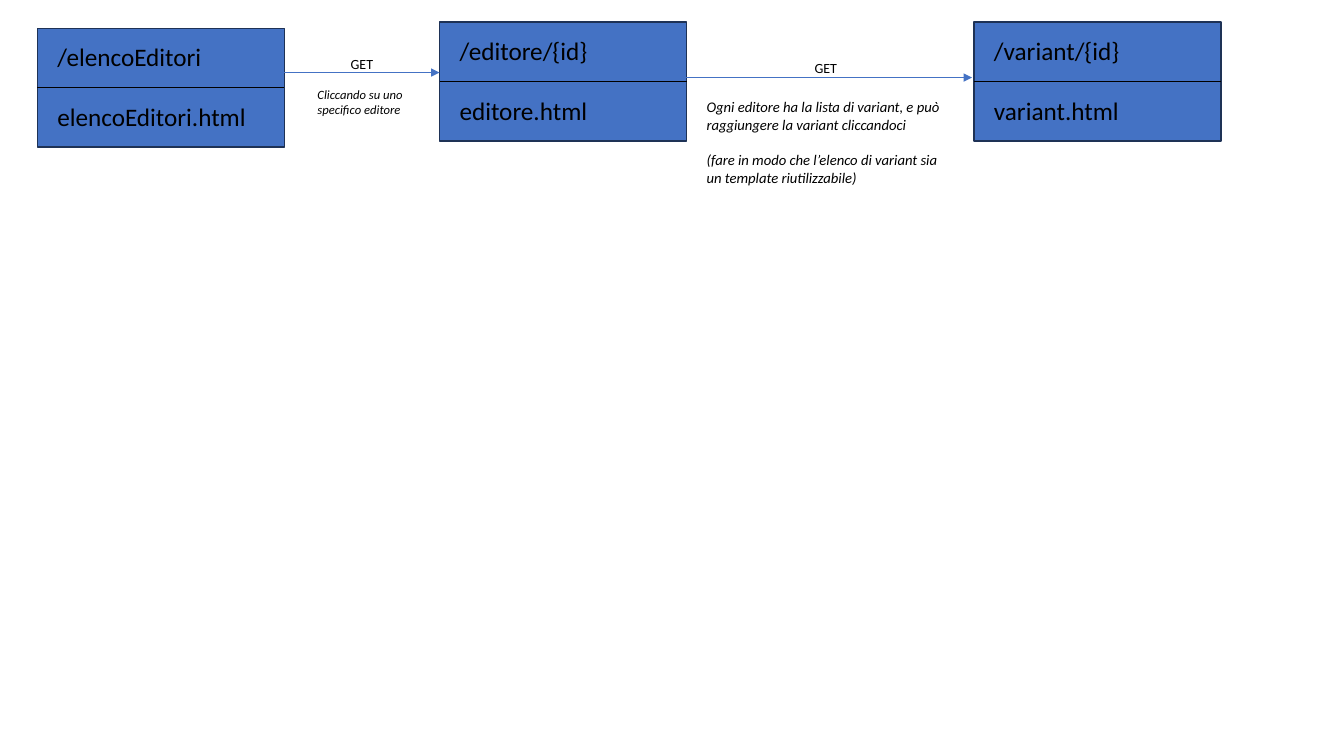
from lxml.etree import SubElement
from pptx import Presentation
from pptx.dml.color import RGBColor
from pptx.enum.shapes import MSO_CONNECTOR, MSO_SHAPE
from pptx.enum.text import MSO_AUTO_SIZE
from pptx.oxml.ns import qn
from pptx.util import Inches, Pt

COLOURS = {"page": "4472C4", "border": "1E3256", "text": "000000"}
PAGE_WIDTH, PAGE_HEIGHT = 2.45, 1.18

prs = Presentation()
prs.slide_width, prs.slide_height = Inches(13.33), Inches(7.5)
slide = prs.slides.add_slide(prs.slide_layouts[6])


def add_text(paragraphs, left, top, width, height, size, italic=False, wrap=True):
    box = slide.shapes.add_textbox(Inches(left), Inches(top), Inches(width), Inches(height))
    frame = box.text_frame
    frame.word_wrap = wrap
    frame.auto_size = MSO_AUTO_SIZE.SHAPE_TO_FIT_TEXT
    font_format = {"name": "Calibri", "size": Pt(size), "italic": italic}
    for index, wording in enumerate(paragraphs):
        paragraph = frame.add_paragraph() if index else frame.paragraphs[0]
        if index:
            paragraph.space_before = Pt(size * 1.22)  # one line of space
        run = paragraph.add_run()
        run.text = wording
        for attribute, value in font_format.items():
            setattr(run.font, attribute, value)
        run.font.color.rgb = RGBColor.from_string(COLOURS["text"])


def add_line(start, end, y, colour, arrow=False):
    line = slide.shapes.add_connector(
        MSO_CONNECTOR.STRAIGHT, Inches(start), Inches(y), Inches(end), Inches(y))
    line.line.color.rgb = RGBColor.from_string(COLOURS[colour])
    line.line.width = Pt(0.5)
    if arrow:
        SubElement(line.line._get_or_add_ln(), qn("a:tailEnd"), type="triangle")
    SubElement(line._element.spPr, qn("a:effectLst"))


# Pages: route above, template file below
pages = [
    (0.37, 0.28, "/elencoEditori", "elencoEditori.html"),
    (4.36, 0.22, "/editore/{id}", "editore.html"),
    (9.66, 0.22, "/variant/{id}", "variant.html"),
]
for left, top, route, template in pages:
    page = slide.shapes.add_shape(
        MSO_SHAPE.RECTANGLE, Inches(left), Inches(top), Inches(PAGE_WIDTH), Inches(PAGE_HEIGHT))
    page.shadow.inherit = False
    page.fill.solid()
    page.fill.fore_color.rgb = RGBColor.from_string(COLOURS["page"])
    page.line.color.rgb = RGBColor.from_string(COLOURS["border"])
    page.line.width = Pt(1)
    add_text([route], left + 0.1, top + 0.08, 1.77, 0.4, 18)
    add_line(left, left + PAGE_WIDTH, top + PAGE_HEIGHT / 2, "text")
    add_text([template], left + 0.1, top + 0.68, 2.23, 0.4, 18)

# Requests that lead from one page to the next
requests = [
    (2.82, 4.36, 0.72, 3.38, 0.5),
    (6.75, 9.64, 0.77, 7.98, 0.54),
]
for start, end, y, label_left, label_top in requests:
    add_line(start, end, y, "page", arrow=True)
    add_text(["GET"], label_left, label_top, 0.42, 0.27, 10, wrap=False)

# Notes under the arrows
add_text(["Cliccando su uno specifico editore"], 3.05, 0.81, 1.09, 0.4, 9, italic=True)
add_text(
    ["Ogni editore ha la lista di variant, e può raggiungere la variant cliccandoci",
     "(fare in modo che l’elenco di variant sia un template riutilizzabile)"],
    6.91, 0.92, 2.51, 0.98, 10.5, italic=True)

prs.save("out.pptx")
